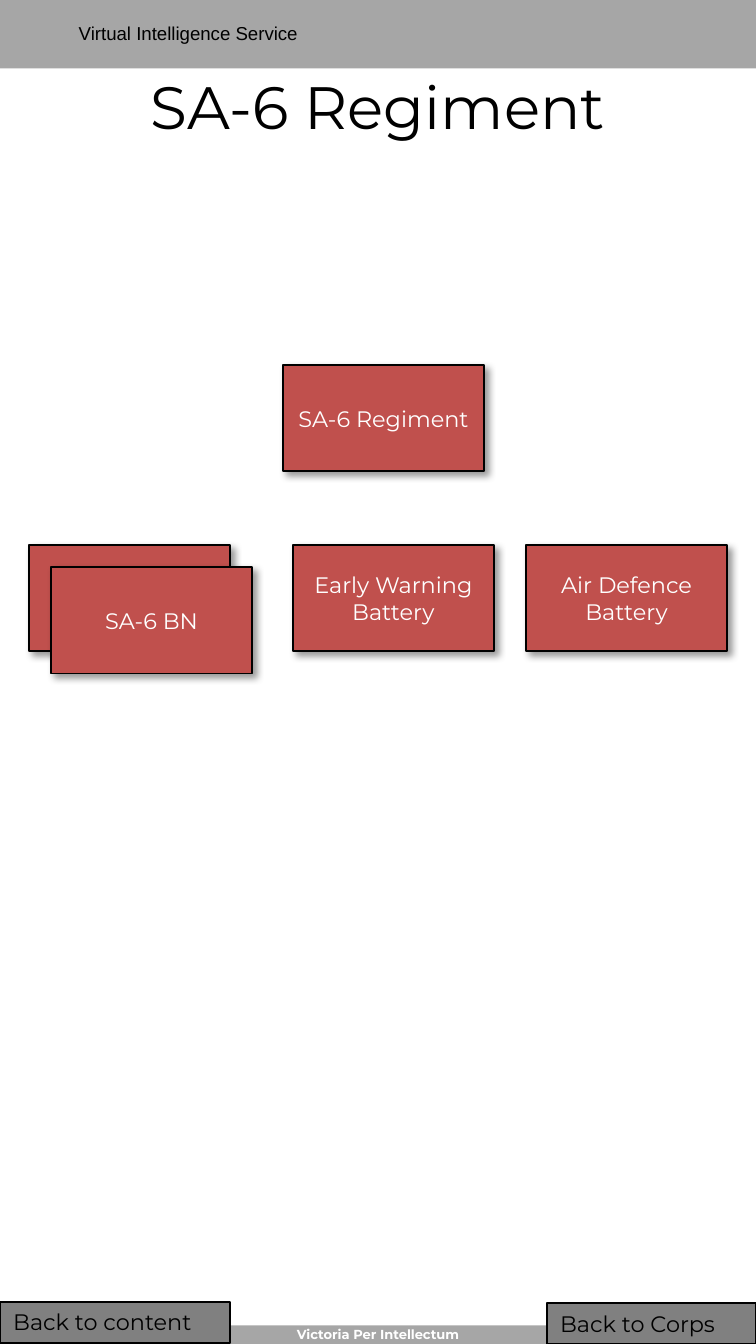
import pptx
import pptx.util
import pptx.dml.color
import pptx.enum.shapes
import pptx.enum.text
import pptx.oxml
import pptx.oxml.ns
from dataclasses import dataclass

Pt = pptx.util.Pt
ALIGN = pptx.enum.text.PP_ALIGN
ANCHOR = pptx.enum.text.MSO_ANCHOR


@dataclass(frozen=True)
class Theme:
    band: str = "A6A6A6"
    card: str = "C0504D"
    button: str = "808080"
    dark: str = "000000"
    light: str = "FFFFFF"
    font: str = "Montserrat"
    header_font: str = "Arial"
    title_size: int = 32
    label_size: int = 12
    header_size: int = 10
    motto_size: int = 7


THEME = Theme()
WIDTH, HEIGHT = 405, 720
CARD_W, CARD_H = 108, 57


def rgb(value):
    return pptx.dml.color.RGBColor.from_string(value)


def write(shape, text, size, color, font=THEME.font, align=ALIGN.LEFT,
          anchor=ANCHOR.TOP, bold=False):
    tf = shape.text_frame
    tf.word_wrap = True
    tf.vertical_anchor = anchor
    p = tf.paragraphs[0]
    p.alignment = align
    r = p.add_run()
    r.text = text
    r.font.name = font
    r.font.size = Pt(size)
    r.font.bold = bold
    r.font.color.rgb = rgb(color)
    return tf


def add_box(s, x, y, w, h, fill, line=None):
    sp = s.shapes.add_shape(pptx.enum.shapes.MSO_SHAPE.RECTANGLE,
                            Pt(x), Pt(y), Pt(w), Pt(h))
    sp.shadow.inherit = False
    sp.fill.solid()
    sp.fill.fore_color.rgb = rgb(fill)
    if line:
        sp.line.color.rgb = rgb(line)
        sp.line.width = Pt(1)
    else:
        sp.line.fill.background()
    return sp


def add_shadow(sp):
    effects = sp._element.spPr.find(pptx.oxml.ns.qn("a:effectLst"))
    effects.append(pptx.oxml.parse_xml(
        f'<a:outerShdw {pptx.oxml.ns.nsdecls("a")} blurRad="{Pt(4)}" '
        f'dist="{Pt(3)}" dir="2700000" algn="tl" rotWithShape="0">'
        f'<a:srgbClr val="{THEME.dark}"><a:alpha val="40000"/></a:srgbClr>'
        '</a:outerShdw>'))


def add_card(s, x, y, text):
    sp = add_box(s, x, y, CARD_W, CARD_H, THEME.card, THEME.dark)
    add_shadow(sp)
    write(sp, text, THEME.label_size, THEME.light,
          align=ALIGN.CENTER, anchor=ANCHOR.MIDDLE)


def add_button(s, x, y, w, text):
    sp = add_box(s, x, y, w, 21.8, THEME.button, THEME.dark)
    write(sp, text, THEME.label_size, THEME.dark)


def add_label(s, x, y, w, h, text, size, color, **style):
    sp = s.shapes.add_textbox(Pt(x), Pt(y), Pt(w), Pt(h))
    return write(sp, text, size, color, **style)


def add_title(s, text):
    sp = s.shapes.title
    sp.left, sp.top, sp.width, sp.height = Pt(0), Pt(36.7), Pt(WIDTH), Pt(39.6)
    write(sp, text, THEME.title_size, THEME.dark,
          align=ALIGN.CENTER, anchor=ANCHOR.MIDDLE)


def main():
    prs = pptx.Presentation()
    prs.slide_width, prs.slide_height = Pt(WIDTH), Pt(HEIGHT)
    s = prs.slides.add_slide(prs.slide_layouts[5])

    # Header and footer bands
    add_box(s, 0, 0, WIDTH, 36.7, THEME.band)
    add_box(s, 0, 710, WIDTH, 10, THEME.band)
    add_label(s, 35.1, 7.9, 278, 19.4, "Virtual Intelligence Service",
              THEME.header_size, THEME.dark, font=THEME.header_font)
    tf = add_label(s, 0, 710.4, WIDTH, 8.6, "Victoria Per Intellectum",
                   THEME.motto_size, THEME.light,
                   align=ALIGN.CENTER, bold=True)
    tf.margin_left = tf.margin_right = tf.margin_top = tf.margin_bottom = 0

    add_title(s, "SA-6 Regiment")

    # Regiment and its units, with the battalions stacked
    unit_y, stack_step = 292, 11.8
    add_card(s, 151.5, 195.5, "SA-6 Regiment")
    for x, text in ((15.4, "SA-6 BN"), (156.8, "Early Warning Battery"),
                    (281.7, "Air Defence Battery")):
        add_card(s, x, unit_y, text)
    add_card(s, 15.4 + stack_step, unit_y + stack_step, "SA-6 BN")

    # Navigation buttons
    add_button(s, 0, 697.5, 123.3, "Back to content")
    add_button(s, 293, 698.2, WIDTH - 293, "Back to Corps")

    prs.save("out.pptx")


if __name__ == "__main__":
    main()
